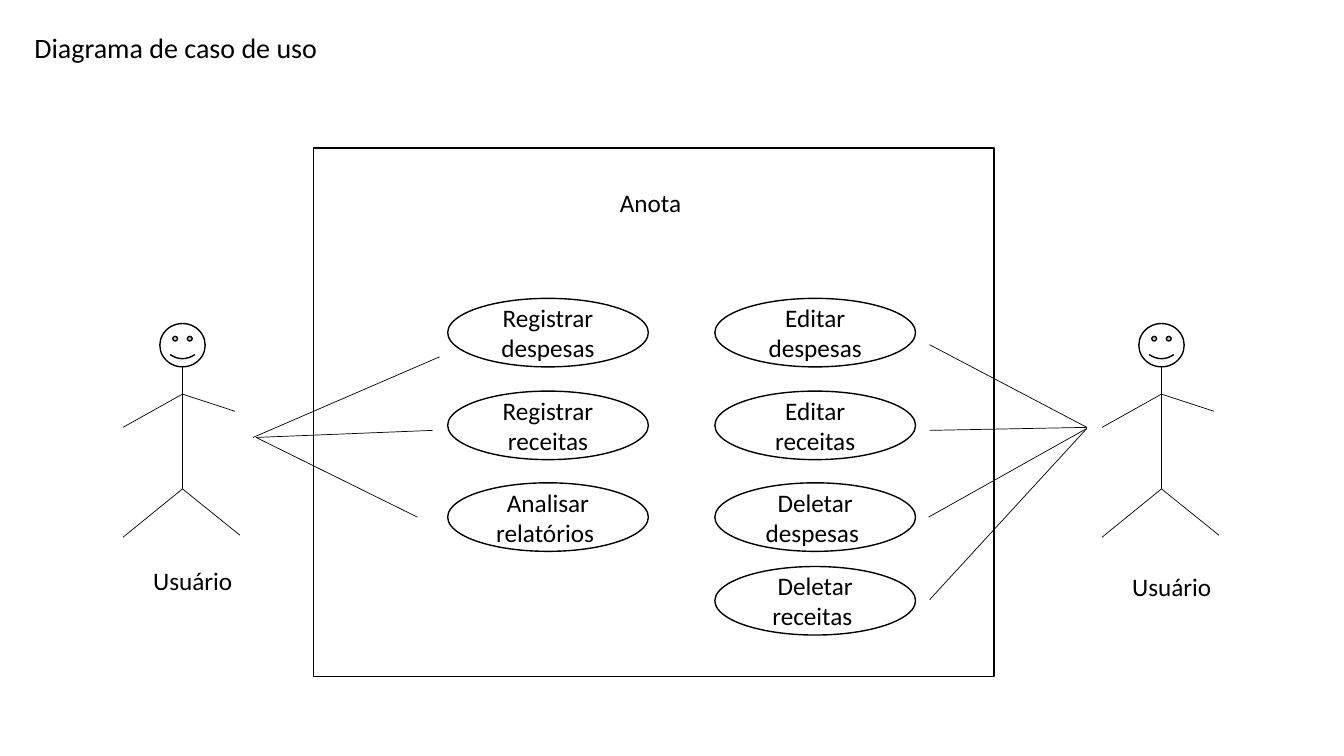
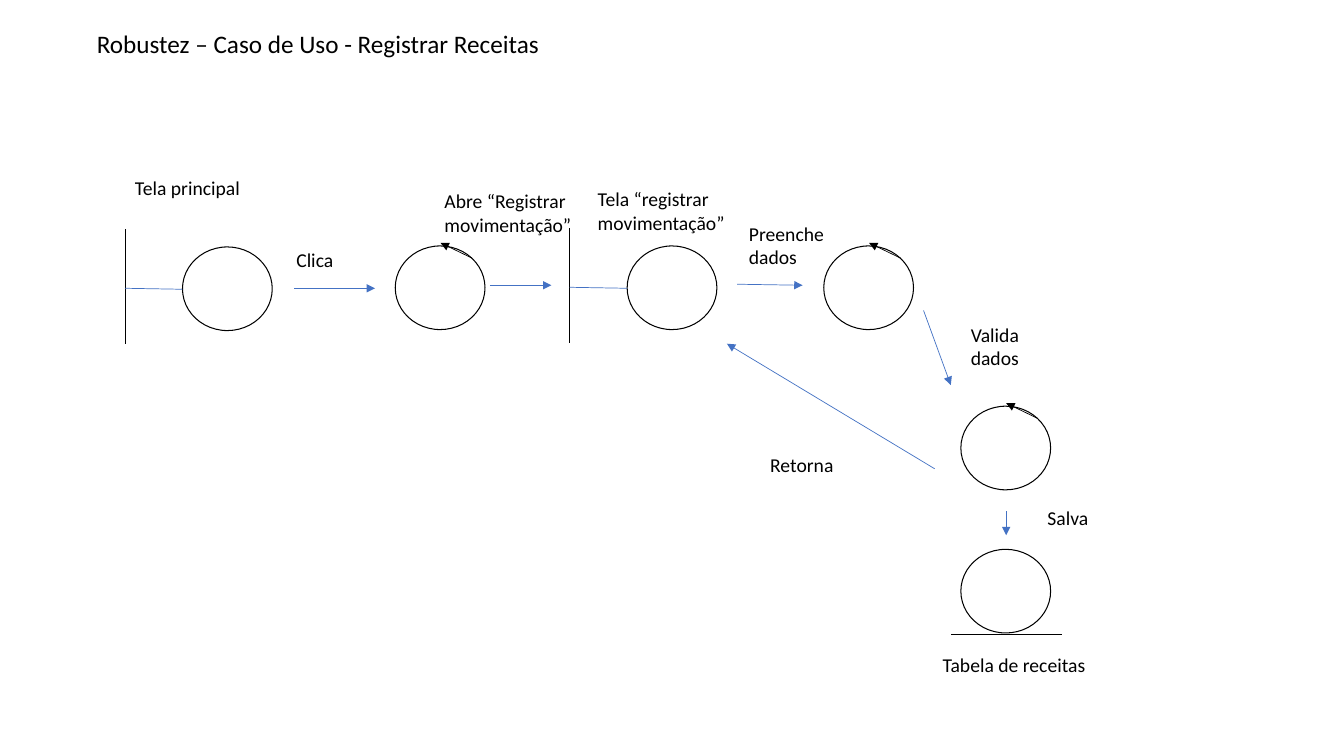
from dataclasses import dataclass

from lxml.etree import SubElement
from pptx import Presentation
from pptx.dml.color import RGBColor
from pptx.enum.shapes import MSO_CONNECTOR, MSO_SHAPE
from pptx.enum.text import MSO_ANCHOR, MSO_AUTO_SIZE, PP_ALIGN
from pptx.oxml.ns import qn
from pptx.shapes.autoshape import Shape
from pptx.slide import Slide
from pptx.util import Inches, Pt

BLACK, WHITE, BLUE = "000000", "FFFFFF", "4472C4"
FONT = "Calibri"
RING_W, RING_H = 0.89, 0.83


@dataclass
class Label:
    text: str
    left: float
    top: float
    width: float
    height: float


@dataclass
class Line:
    x1: float
    y1: float
    x2: float
    y2: float


@dataclass
class Actor:
    mid: float
    top: float
    label: float


@dataclass
class Column:
    left: float
    cases: list[str]


@dataclass
class Ring:
    left: float
    top: float
    kind: str


# Use case diagram
ACTORS = [Actor(1.81, 3.21, 5.56), Actor(11.52, 3.21, 5.62)]
LIMBS = [
    Line(0, 0.43, 0, 1.64),
    Line(0, 0.7, -0.59, 1.03),
    Line(0, 0.7, 0.52, 0.87),
    Line(0, 1.64, -0.59, 2.12),
    Line(0, 1.64, 0.57, 2.1),
]
TOPS = [2.96, 3.88, 4.79, 5.62]
COLUMNS = [
    Column(4.44, ["Registrar despesas", "Registrar receitas", "Analisar relatórios "]),
    Column(7.09, ["Editar despesas", "Editar receitas", "Deletar despesas ",
                  "Deletar receitas "]),
]
LINKS = [
    Line(2.51, 4.34, 4.36, 3.54),
    Line(2.54, 4.34, 4.29, 4.27),
    Line(2.54, 4.34, 4.14, 5.13),
    Line(9.22, 3.42, 10.78, 4.24),
    Line(9.22, 4.27, 10.78, 4.24),
    Line(9.21, 5.13, 10.78, 4.25),
    Line(9.22, 5.95, 10.78, 4.25),
]

# Robustness diagram
RINGS = [
    Ring(1.81, 2.45, "screen"),
    Ring(3.92, 2.44, "control"),
    Ring(6.22, 2.44, "screen"),
    Ring(8.17, 2.44, "control"),
    Ring(9.53, 4.03, "control"),
    Ring(9.53, 5.45, "table"),
]
FLOWS = [
    Line(2.92, 2.86, 3.72, 2.86),
    Line(4.86, 2.83, 5.47, 2.83),
    Line(7.31, 2.82, 7.96, 2.83),
    Line(9.16, 3.08, 9.43, 3.82),
    Line(9.98, 5.07, 9.98, 5.31),
    Line(9.27, 4.65, 7.21, 3.41),
]
LABELS = [
    Label("Tela principal", 1.24, 1.7, 1.68, 0.34),
    Label("Clica", 2.84, 2.41, 0.89, 0.34),
    Label("Abre “Registrar movimentação”", 4.31, 1.83, 1.56, 0.57),
    Label("Tela “registrar movimentação”", 5.83, 1.81, 1.68, 0.57),
    Label("Preenche dados", 7.33, 2.15, 1.07, 0.57),
    Label("Valida dados", 9.53, 3.15, 0.89, 0.57),
    Label("Retorna", 7.54, 4.44, 0.89, 0.34),
    Label("Salva", 10.29, 4.97, 0.89, 0.34),
    Label("Tabela de receitas", 9.25, 6.43, 2.64, 0.34),
]


def tint(code: str) -> RGBColor:
    return RGBColor.from_string(code)


def write(shape: Shape, text: str, *, size: float = 18, align=PP_ALIGN.LEFT,
          anchor=MSO_ANCHOR.TOP) -> None:
    frame = shape.text_frame
    frame.word_wrap = True
    frame.auto_size = MSO_AUTO_SIZE.NONE
    frame.vertical_anchor = anchor
    para = frame.paragraphs[0]
    para.alignment = align
    run = para.add_run()
    run.text = text
    run.font.name = FONT
    run.font.size = Pt(size)
    run.font.color.rgb = tint(BLACK)


def put_text(slide: Slide, label: Label, size: float = 18) -> None:
    box = slide.shapes.add_textbox(Inches(label.left), Inches(label.top),
                                   Inches(label.width), Inches(label.height))
    write(box, label.text, size=size)


def put_shape(slide: Slide, kind: MSO_SHAPE, left: float, top: float, width: float,
              height: float, *, fill: str | None = WHITE, weight: float = 1) -> Shape:
    shape = slide.shapes.add_shape(kind, Inches(left), Inches(top),
                                   Inches(width), Inches(height))
    shape.shadow.inherit = False
    if fill:
        shape.fill.solid()
        shape.fill.fore_color.rgb = tint(fill)
    else:
        shape.fill.background()
    shape.line.color.rgb = tint(BLACK)
    shape.line.width = Pt(weight)
    return shape


def put_line(slide: Slide, line: Line, *, left: float = 0, top: float = 0,
             color: str = BLACK, arrow: bool = False) -> None:
    link = slide.shapes.add_connector(
        MSO_CONNECTOR.STRAIGHT, Inches(left + line.x1), Inches(top + line.y1),
        Inches(left + line.x2), Inches(top + line.y2))
    link.line.color.rgb = tint(color)
    link.line.width = Pt(0.5)
    props = link._element.spPr
    if arrow:
        SubElement(props.find(qn("a:ln")), qn("a:tailEnd"), type="triangle")
    SubElement(props, qn("a:effectLst"))


def new_slide(deck, label: Label, size: float) -> Slide:
    slide = deck.slides.add_slide(deck.slide_layouts[5])
    title = slide.shapes.title
    title.left, title.top = Inches(label.left), Inches(label.top)
    title.width, title.height = Inches(label.width), Inches(label.height)
    write(title, label.text, size=size)
    return slide


def put_actor(slide: Slide, actor: Actor) -> None:
    put_shape(slide, MSO_SHAPE.SMILEY_FACE, actor.mid - 0.225, actor.top, 0.45, 0.43)
    for limb in LIMBS:
        put_line(slide, limb, left=actor.mid, top=actor.top)
    put_text(slide, Label("Usuário", actor.mid - 0.39, actor.label, 1.22, 0.4))


def put_ring(slide: Slide, ring: Ring) -> None:
    put_shape(slide, MSO_SHAPE.OVAL, ring.left, ring.top, RING_W, RING_H,
              fill=None, weight=0.75)
    place = {"left": ring.left, "top": ring.top}
    if ring.kind == "screen":
        put_line(slide, Line(-0.57, 0.96, -0.57, -0.18), **place)
        put_line(slide, Line(0, 0.42, -0.57, 0.41), color=BLUE, **place)
    elif ring.kind == "control":
        put_line(slide, Line(0.76, 0.12, 0.45, -0.03), arrow=True, **place)
    else:
        put_line(slide, Line(1, 0.84, -0.1, 0.84), **place)


def draw_cases(deck) -> None:
    slide = new_slide(deck, Label("Diagrama de caso de uso", 0.24, 0.25, 4.89, 0.44), 20)
    # System border and name
    put_shape(slide, MSO_SHAPE.RECTANGLE, 3.11, 1.47, 6.75, 5.24)
    put_text(slide, Label("Anota", 6.05, 1.81, 0.87, 0.4))
    for actor in ACTORS:
        put_actor(slide, actor)
    # Use cases
    for column in COLUMNS:
        for text, top in zip(column.cases, TOPS):
            oval = put_shape(slide, MSO_SHAPE.OVAL, column.left, top, 1.99, 0.68)
            write(oval, text, align=PP_ALIGN.CENTER, anchor=MSO_ANCHOR.MIDDLE)
    for link in LINKS:
        put_line(slide, link)


def draw_flow(deck) -> None:
    slide = new_slide(deck, Label("Robustez – Caso de Uso - Registrar Receitas",
                                  0.86, 0.23, 4.9, 0.71), 18)
    for ring in RINGS:
        put_ring(slide, ring)
    for flow in FLOWS:
        put_line(slide, flow, color=BLUE, arrow=True)
    for label in LABELS:
        put_text(slide, label, size=14)


def main() -> None:
    deck = Presentation()
    deck.slide_width, deck.slide_height = Inches(13.33), Inches(7.5)
    draw_cases(deck)
    draw_flow(deck)
    deck.save("out.pptx")


if __name__ == "__main__":
    main()
